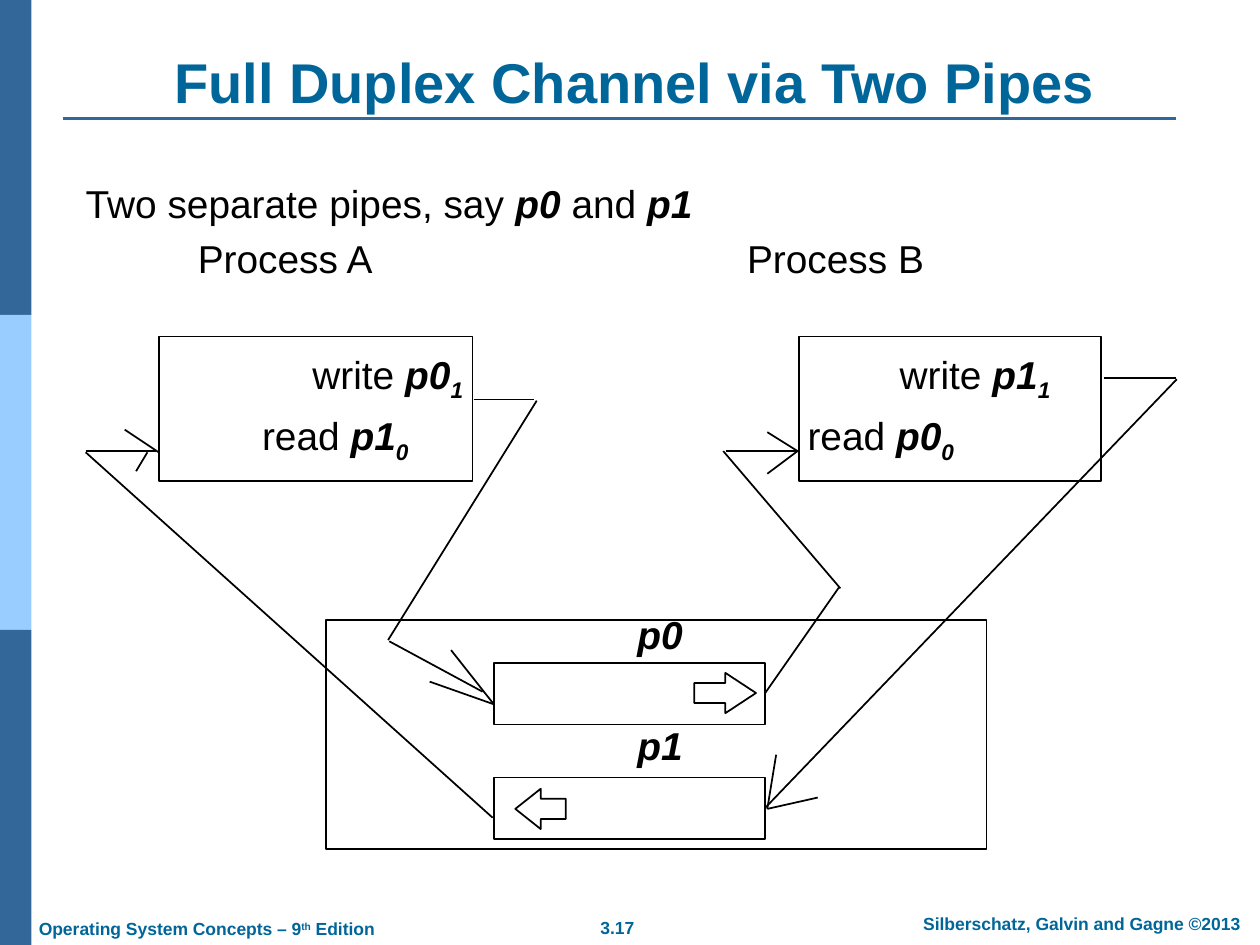
import pptx
import pptx.util
import pptx.dml.color
import pptx.enum.shapes
import pptx.enum.text
import lxml.etree

Inches = pptx.util.Inches
SHAPE = pptx.enum.shapes.MSO_SHAPE
ALIGN = pptx.enum.text.PP_ALIGN
ANCHOR = pptx.enum.text.MSO_ANCHOR
COLORS = {"dark": "336699", "light": "99CCFF", "heading": "006699", "ink": "000000"}
SUBSCRIPT, SUPERSCRIPT = -25000, 30000


class SlideBuilder:
    font_name = "Arial"
    body_size = 22.2
    line_width = 1

    def __init__(self, presentation):
        self.slide = presentation.slides.add_slide(presentation.slide_layouts[6])

    def color(self, name):
        return pptx.dml.color.RGBColor.from_string(COLORS[name])

    def shape(self, kind, left, top, width, height, fill=None, adjustments=()):
        shape = self.slide.shapes.add_shape(
            kind, Inches(left), Inches(top), Inches(width), Inches(height))
        shape.shadow.inherit = False
        if fill:
            shape.fill.solid()
            shape.fill.fore_color.rgb = self.color(fill)
            shape.line.fill.background()
        else:
            shape.fill.background()
            shape.line.color.rgb = self.color("ink")
            shape.line.width = pptx.util.Pt(self.line_width)
        for index, value in enumerate(adjustments):
            shape.adjustments[index] = value
        return shape

    def line(self, start, end, color="ink", width=None):
        connector = self.slide.shapes.add_connector(
            pptx.enum.shapes.MSO_CONNECTOR.STRAIGHT, *map(Inches, start + end))
        connector.line.color.rgb = self.color(color)
        connector.line.width = pptx.util.Pt(width or self.line_width)
        lxml.etree.SubElement(
            connector._element.spPr, pptx.oxml.ns.qn("a:effectLst"))
        return connector

    def text(self, runs, left, top, width, height=0.36, size=None, color="ink",
             bold=None, align=ALIGN.LEFT, anchor=ANCHOR.TOP, margins=(0, 0)):
        box = self.slide.shapes.add_textbox(
            Inches(left), Inches(top), Inches(width), Inches(height))
        frame = box.text_frame
        frame.word_wrap = True
        frame.vertical_anchor = anchor
        frame.margin_left = frame.margin_right = Inches(margins[0])
        frame.margin_top = frame.margin_bottom = Inches(margins[1])
        paragraph = frame.paragraphs[0]
        paragraph.alignment = align
        paragraph.font.name = self.font_name
        paragraph.font.size = pptx.util.Pt(size or self.body_size)
        paragraph.font.color.rgb = self.color(color)
        paragraph.font.bold = bold
        for content, emphasis, baseline in runs:
            run = paragraph.add_run()
            run.text = content
            if emphasis:
                run.font.bold = run.font.italic = True
            if baseline:
                run._r.get_or_add_rPr().set("baseline", str(baseline))

    def heading(self, runs, left, top, width, height, size, **options):
        self.text(runs, left, top, width, height, size, "heading", True,
                  margins=(0.1, 0.05), **options)


def plain(content):
    return content, False, 0


def strong(content):
    return content, True, 0


def main():
    presentation = pptx.Presentation()
    presentation.slide_width = Inches(10)
    presentation.slide_height = Inches(7.5)
    builder = SlideBuilder(presentation)

    for index, color in enumerate(("dark", "light", "dark")):
        builder.shape(SHAPE.RECTANGLE, 0, index * 2.5, 0.25, 2.5, color)
    builder.line((0.5, 0.94), (9.33, 0.94), "dark", 1.5)
    builder.heading([plain("Full Duplex Channel via Two Pipes")], 0.58, 0.38, 8.92, 0.58, 32,
                    align=ALIGN.CENTER, anchor=ANCHOR.BOTTOM)
    builder.heading([plain("Operating System Concepts – 9"), ("th", False, SUPERSCRIPT),
                     plain(" Edition")], 0.21, 7.24, 3, 0.27, 10)
    builder.heading([plain("3.17")], 4.41, 7.23, 0.98, 0.27, 10, align=ALIGN.CENTER)
    builder.heading([plain("Silberschatz, Galvin and Gagne ©2013")], 7.1, 7.2, 2.97, 0.27, 10,
                    align=ALIGN.CENTER)

    builder.text([plain("Two separate pipes, say "), strong("p0 "), plain("and "), strong("p1")],
                 0.68, 1.43, 8)
    for name, left in (("A", 1.57), ("B", 5.93)):
        builder.text([plain(f"Process {name}")], left, 1.86, 2)
    calls = (("write", "p0", "1", 2.48, 2.78), ("read", "p1", "0", 2.08, 3.27),
             ("write", "p1", "1", 7.14, 2.78), ("read", "p0", "0", 6.41, 3.27))
    for action, pipe, end, left, top in calls:
        builder.text([plain(action + " "), strong(pipe), (end, True, SUBSCRIPT)], left, top, 1.4)

    for left, width in ((1.26, 2.49), (6.34, 2.4)):
        builder.shape(SHAPE.RECTANGLE, left, 2.67, width, 1.15)
    builder.shape(SHAPE.RECTANGLE, 2.59, 4.92, 5.24, 1.82)
    pipes = {}
    for name, label_top, top in (("p0", 4.85, 5.26), ("p1", 5.73, 6.17)):
        builder.text([strong(name)], 5.06, label_top, 0.6)
        pipes[name] = builder.shape(SHAPE.RECTANGLE, 3.92, top, 2.15, 0.49)
    builder.shape(SHAPE.RIGHT_ARROW, 5.51, 5.34, 0.49, 0.32, adjustments=(0.5, 0.76))
    builder.shape(SHAPE.LEFT_ARROW, 4.09, 6.26, 0.4, 0.32, adjustments=(0.5, 0.63))

    links = (
        ((3.76, 3.17), (4.24, 3.17)), ((4.26, 3.18), (3.08, 5.08)), ((3.09, 5.09), (3.83, 5.49)),
        ((6.67, 4.67), (5.74, 3.58)), ((5.76, 3.58), (6.33, 3.58)),
        ((8.76, 3), (9.33, 3)),
        ((3.91, 6.49), (0.68, 3.59)), ((0.68, 3.58), (1.24, 3.58)),
    )
    arrowheads = (
        ((3.92, 5.59), (3.58, 5.16)), ((3.92, 5.59), (3.41, 5.41)),
        ((6.33, 3.58), (6.09, 3.43)), ((6.33, 3.58), (6.09, 3.76)),
        ((6.09, 6.42), (6.16, 5.99)), ((6.09, 6.42), (6.49, 6.33)),
        ((1.26, 3.59), (0.99, 3.41)), ((1.17, 3.59), (1.08, 3.74)),
    )
    for start, end in links + arrowheads:
        builder.line(start, end)
    builder.line((6.07, 5.51), (6.66, 4.66)).begin_connect(pipes["p0"], 3)
    builder.line((9.34, 3.01), (6.07, 6.42)).end_connect(pipes["p1"], 3)

    presentation.save("out.pptx")


if __name__ == "__main__":
    main()
